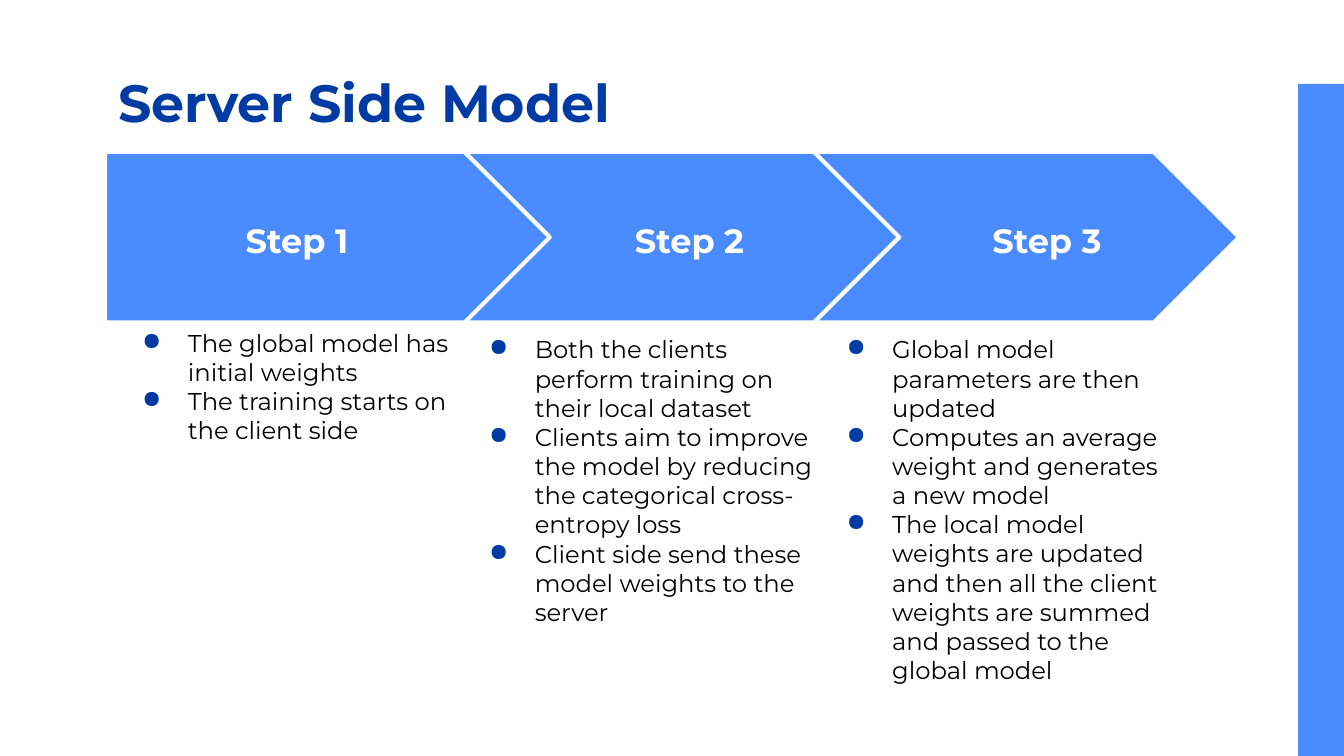
from lxml import etree
from pptx import Presentation
from pptx.dml.color import RGBColor
from pptx.enum.shapes import MSO_SHAPE
from pptx.enum.text import PP_ALIGN
from pptx.oxml.ns import qn
from pptx.util import Pt

RECTANGLE = MSO_SHAPE.RECTANGLE
PENTAGON = MSO_SHAPE.PENTAGON
LEFT = PP_ALIGN.LEFT
CENTER = PP_ALIGN.CENTER

WHITE = RGBColor(0xFF, 0xFF, 0xFF)
BLACK = RGBColor(0x00, 0x00, 0x00)
BLUE = RGBColor(0x4A, 0x8C, 0xFF)
NAVY = RGBColor(0x00, 0x3B, 0xA3)
FONT = "Montserrat"

# Each step: arrow left, label left, body box, bullet texts
STEPS = [
    ("Step 1", 56.2, 90.7, (57.6, 168.5, 202.3, 191.5), [
        "The global model has initial weights",
        "The training starts on the client side",
    ]),
    ("Step 2", 243.4, 301, (243.4, 172.1, 209.5, 217.4), [
        "Both the clients perform training on their local dataset",
        "Clients aim to improve the model by reducing the categorical cross-entropy loss",
        "Client side send these model weights to the server",
    ]),
    ("Step 3", 425.5, 492.5, (434.9, 172.1, 202.3, 204.5), [
        "Global model parameters are then updated",
        "Computes an average weight and generates a new model",
        "The local model weights are updated and then all the client weights "
        "are summed and passed to the global model",
    ]),
]


def add_block(slide, kind, box, outline=None):
    """Add a blue preset shape, outlined only when a colour is given."""
    shape = slide.shapes.add_shape(kind, *map(Pt, box))
    shape.shadow.inherit = False
    shape.fill.solid()
    shape.fill.fore_color.rgb = BLUE
    if outline is None:
        shape.line.fill.background()
    else:
        shape.line.color.rgb = outline
        shape.line.width = Pt(2.25)
    return shape


def add_text(slide, box, lines, size, color, bold=False, alignment=LEFT):
    """Add a wrapping text box with one paragraph per line."""
    frame = slide.shapes.add_textbox(*map(Pt, box)).text_frame
    frame.word_wrap = True
    frame.margin_left = frame.margin_right = Pt(7.2)
    frame.margin_top = frame.margin_bottom = Pt(7.2)
    frame.text = "\n".join(lines)
    for paragraph in frame.paragraphs:
        paragraph.alignment = alignment
        font = paragraph.font
        font.name, font.size, font.bold = FONT, Pt(size), bold
        font.color.rgb = color
    return frame


def add_bullets(frame):
    """Give every paragraph a hanging indent and a navy bullet."""
    for paragraph in frame.paragraphs:
        properties = paragraph._p.get_or_add_pPr()
        properties.set("marL", str(Pt(36)))
        properties.set("indent", str(Pt(-24.5)))
        bullet_color = etree.Element(qn("a:buClr"))
        etree.SubElement(bullet_color, qn("a:srgbClr"), val=str(NAVY))
        bullet = etree.Element(qn("a:buChar"), char="●")
        properties.insert(0, bullet_color)
        properties.insert(1, bullet)


def main():
    """Build and save the slide."""
    presentation = Presentation()
    presentation.slide_width, presentation.slide_height = Pt(720), Pt(405)
    slide = presentation.slides.add_slide(presentation.slide_layouts[6])

    add_block(slide, RECTANGLE, (695.5, 45, 24.5, 360))
    for _, arrow_left, *_ in reversed(STEPS):
        add_block(slide, PENTAGON, (arrow_left, 81.4, 238.3, 91.4), WHITE)
    add_text(slide, (56.2, 30.2, 607, 51.1), ["Server Side Model"], 28, NAVY, True)
    for label, _, label_left, body_box, points in STEPS:
        add_text(slide, (label_left, 110.9, 136.8, 36), [label], 18, WHITE, True, CENTER)
        add_bullets(add_text(slide, body_box, points, 13, BLACK))

    presentation.save("out.pptx")


if __name__ == "__main__":
    main()
